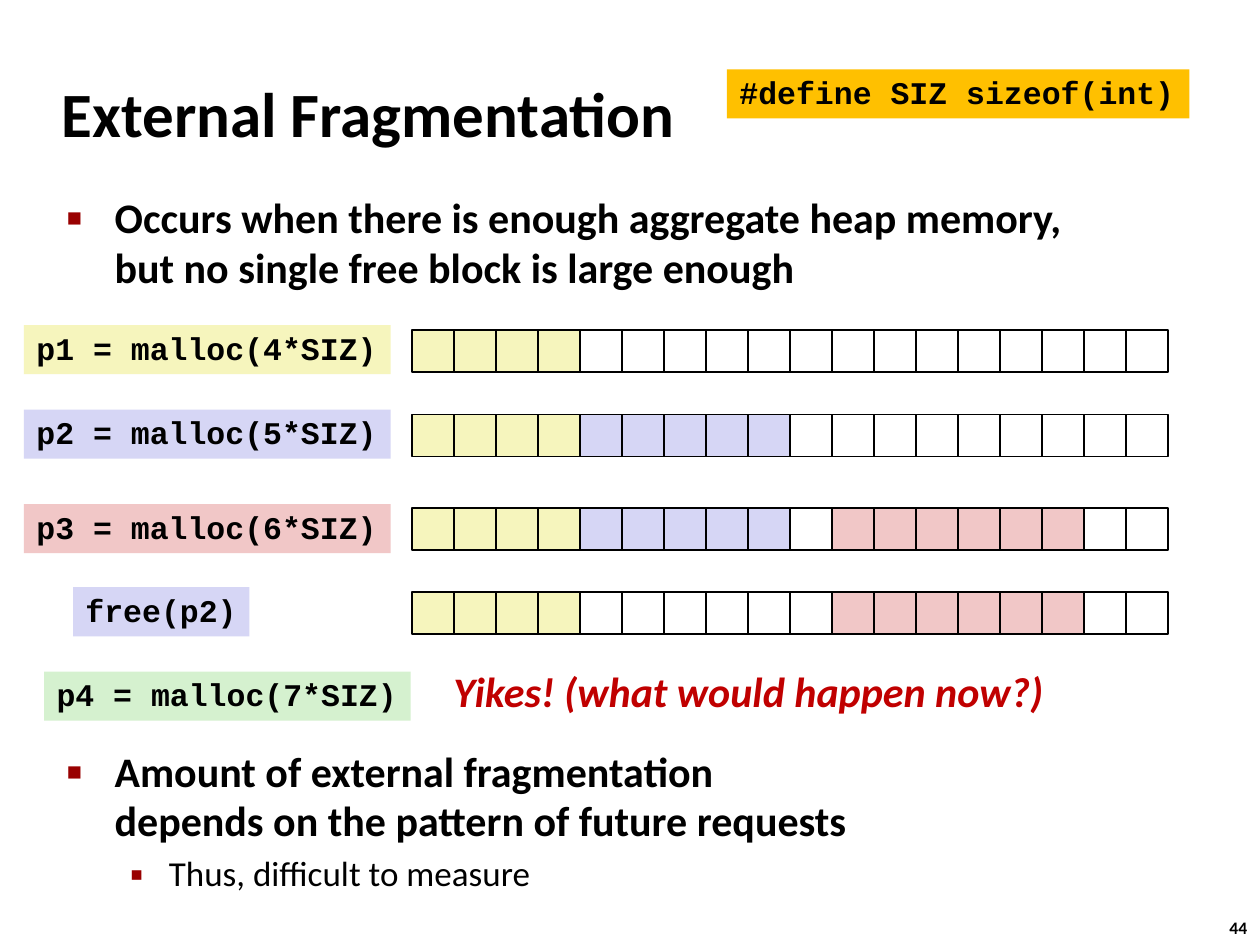
"""Build the External Fragmentation slide on a grid of 100 columns by 75 rows."""
from lxml.etree import SubElement
from pptx import Presentation
from pptx.dml.color import RGBColor
from pptx.enum.shapes import MSO_SHAPE as Shape
from pptx.enum.text import MSO_ANCHOR as Anchor, MSO_AUTO_SIZE as AutoSize, PP_ALIGN as Align
from pptx.oxml.ns import qn
from pptx.util import Inches, Pt

COLORS = {"p1": "F6F5BD", "p2": "D6D6F5", "p3": "F1C7C7", "p4": "D5F1CF", "free": "FFFFFF",
          "define": "FFC000", "text": "000000", "bullet": "990000", "warning": "C00000"}
FORMATS = {
    "title": {"name": "Calibri", "size": Pt(36), "bold": True},
    "point": {"name": "Calibri", "size": Pt(24), "bold": True},
    "detail": {"name": "Calibri", "size": Pt(20), "bold": False},
    "code": {"name": "Courier New", "size": Pt(18), "bold": True},
    "warning": {"name": "Calibri", "size": Pt(24), "bold": True, "italic": True},
    "page": {"name": "Calibri", "size": Pt(10), "bold": True},
}

deck = Presentation()
deck.slide_width, deck.slide_height = Inches(10), Inches(7.5)
COL, ROW = deck.slide_width / 100, deck.slide_height / 75
slide = deck.slides.add_slide(deck.slide_layouts[1])


def grid(left, top, width, height):
    return int(left * COL), int(top * ROW), int(width * COL), int(height * ROW)


def write(paragraph, text, style, color="text"):
    paragraph.text = text
    paragraph.alignment = Align.LEFT
    for run in paragraph.runs:
        for attribute, value in FORMATS[style].items():
            setattr(run.font, attribute, value)
        run.font.color.rgb = RGBColor.from_string(COLORS[color])


# title and body
title, body = slide.shapes.title, slide.placeholders[1]
for holder, area, anchor in [(title, (3.9, 4.8, 83, 8.3), Anchor.MIDDLE),
                             (body, (4.3, 14.9, 86.4, 54.4), Anchor.TOP)]:
    holder.left, holder.top, holder.width, holder.height = grid(*area)
    holder.text_frame.auto_size = AutoSize.NONE
    holder.text_frame.vertical_anchor = anchor
write(title.text_frame.paragraphs[0], "External Fragmentation", "title")

points = [
    ("Occurs when there is enough aggregate heap memory, but no single free block is large enough",
     "point", 0, 0, 0.38, 0.38, "■", 60),
    ("Amount of external fragmentation\vdepends on the pattern of future requests",
     "point", 0, 260, 0.38, 0.38, "■", 60),
    ("Thus, difficult to measure", "detail", 1, 4, 0.81, 0.31, "▪", 110),
]
for number, (text, style, level, before, margin, hang, bullet, percent) in enumerate(points):
    frame = body.text_frame
    point = frame.add_paragraph() if number else frame.paragraphs[0]
    write(point, text, style)
    point.level, point.line_spacing, point.space_before = level, 0.98, Pt(before)
    properties = point._p.get_or_add_pPr()
    properties.set("marL", str(Inches(margin)))
    properties.set("indent", str(-Inches(hang)))
    SubElement(SubElement(properties, qn("a:buClr")), qn("a:srgbClr"), val=COLORS["bullet"])
    SubElement(properties, qn("a:buSzPct"), val=str(percent * 1000))
    SubElement(properties, qn("a:buFont"), typeface="Arial")
    SubElement(properties, qn("a:buChar"), char=bullet)

# code labels
labels = [
    ("p4 = malloc(7*SIZ)", "p4", 3.5, 53.3, 29.1),
    ("#define SIZ sizeof(int)", "define", 57.7, 5.5, 36.7),
    ("p1 = malloc(4*SIZ)", "p1", 1.9, 25.8, 29.1),
    ("p2 = malloc(5*SIZ)", "p2", 1.9, 32.5, 29.1),
    ("p3 = malloc(6*SIZ)", "p3", 1.9, 40, 29.1),
    ("free(p2)", "p2", 5.8, 46.6, 14),
]
for code, owner, left, top, width in labels:
    label = slide.shapes.add_shape(Shape.RECTANGLE, *grid(left, top, width, 3.9))
    label.shadow.inherit = False
    label.fill.solid()
    label.fill.fore_color.rgb = RGBColor.from_string(COLORS[owner])
    label.line.fill.background()
    label.text_frame.word_wrap = False
    write(label.text_frame.paragraphs[0], code, "code")
    label.text_frame.paragraphs[0].line_spacing = 0.94

# warning and page number
for text, style, color, area in [
        ("Yikes! (what would happen now?)", "warning", "warning", (35, 52.3, 49.2, 5)),
        ("44", "page", "text", (96.6, 72.3, 3.7, 2.7))]:
    note = slide.shapes.add_textbox(*grid(*area))
    note.text_frame.word_wrap = False
    write(note.text_frame.paragraphs[0], text, style, color)

# heap after each call
CELL = 10 / 3
heaps = [
    (26.2, [("p1", 4), ("free", 14)]),
    (32.9, [("p1", 4), ("p2", 5), ("free", 9)]),
    (40.3, [("p1", 4), ("p2", 5), ("free", 1), ("p3", 6), ("free", 2)]),
    (47, [("p1", 4), ("free", 6), ("p3", 6), ("free", 2)]),
]
for top, blocks in heaps:
    heap = slide.shapes.add_group_shape()
    owners = [owner for owner, count in blocks for _ in range(count)]
    for index, owner in enumerate(owners):
        word = heap.shapes.add_shape(
            Shape.RECTANGLE, *grid(32.7 + index * CELL, top, CELL, CELL))
        word.shadow.inherit = False
        word.fill.solid()
        word.fill.fore_color.rgb = RGBColor.from_string(COLORS[owner])
        word.line.color.rgb = RGBColor.from_string(COLORS["text"])
        word.line.width = Pt(1)

deck.save("out.pptx")
